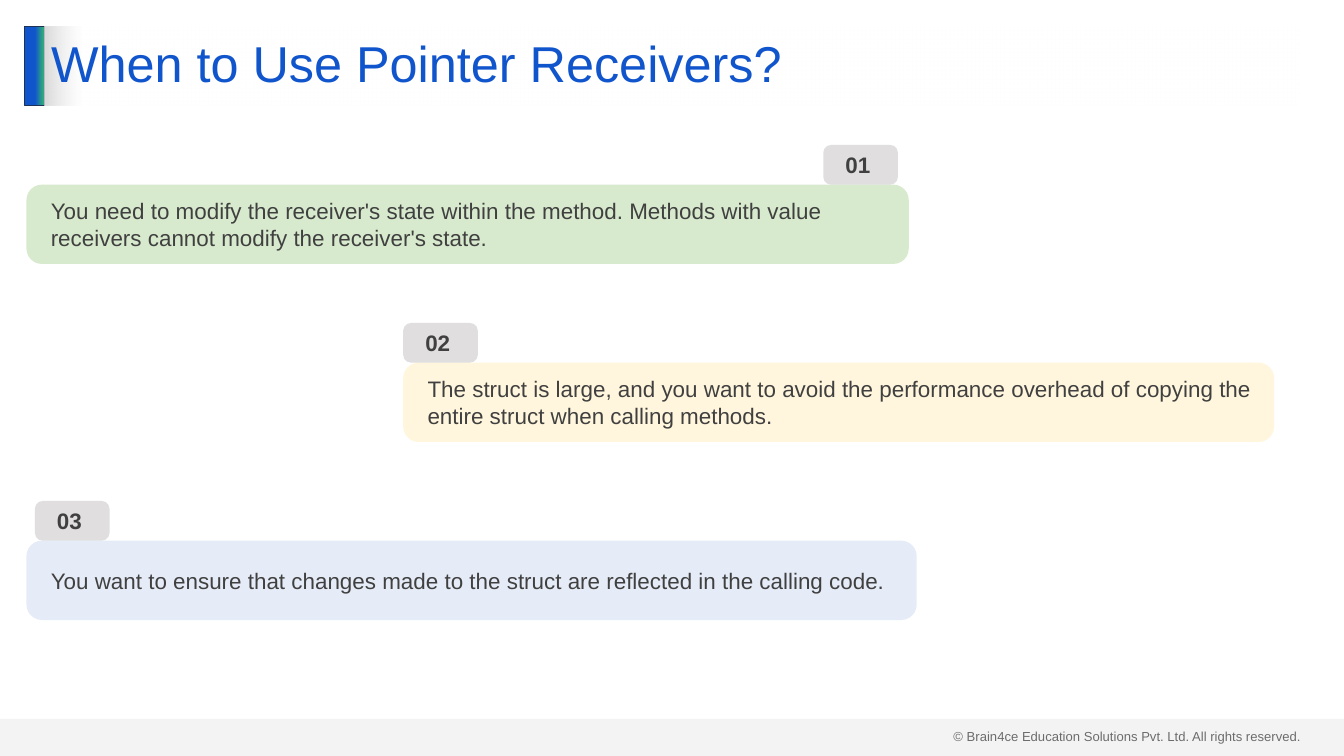
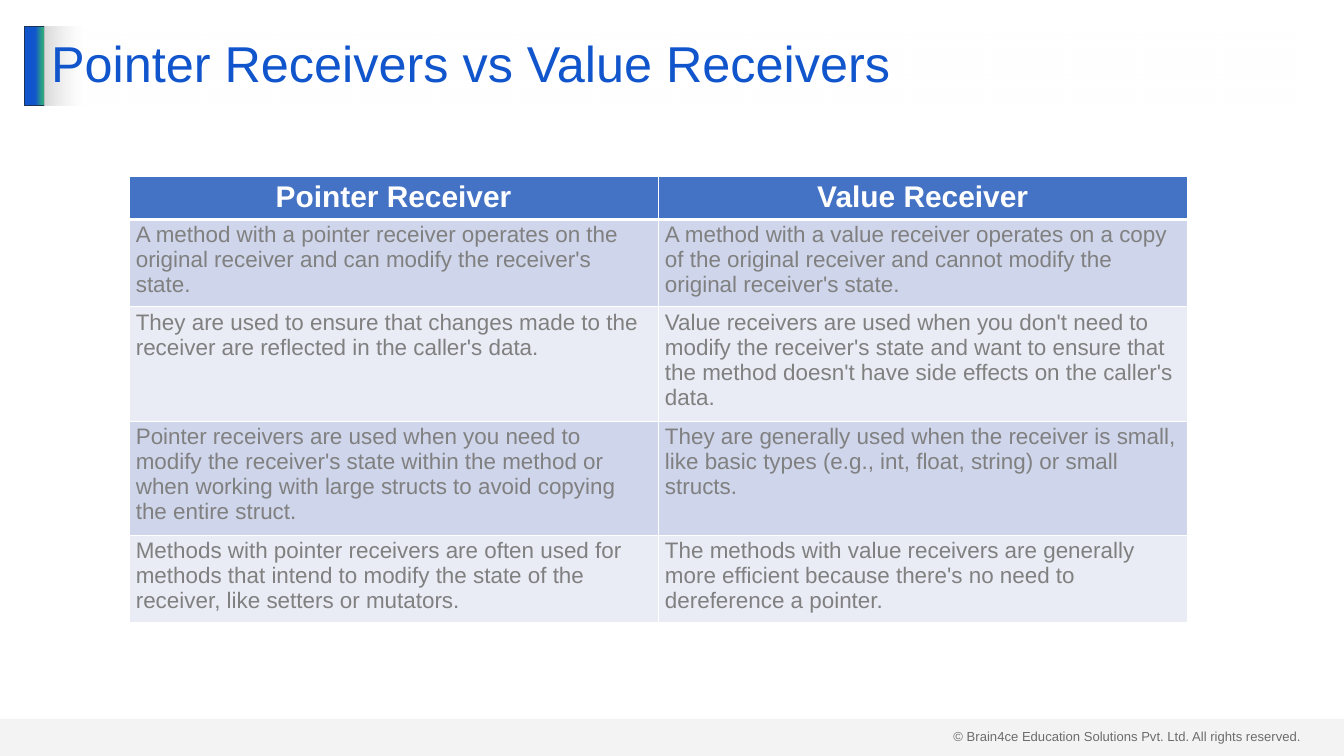
from lxml.etree import SubElement
from pptx import Presentation
from pptx.dml.color import RGBColor
from pptx.enum.shapes import MSO_SHAPE
from pptx.enum.text import MSO_ANCHOR, PP_ALIGN
from pptx.oxml.ns import qn
from pptx.util import Cm, Pt

COLORS = {
    "blue": "1155CC", "teal": "2EA87D", "navy": "1E3256",
    "text": "404040", "muted": "808080", "white": "FFFFFF",
    "band": "D9D9D9", "badge": "D0CECE",
    "green": "C5E0B4", "yellow": "FFF2CC", "pale_blue": "DAE3F3",
    "header": "4472C4", "odd_row": "CFD5EA", "even_row": "E9EBF5",
}
FONT = "Arial"
SLIDE_WIDTH, SLIDE_HEIGHT = 50.8, 28.58
COPYRIGHT = "© Brain4ce Education Solutions Pvt. Ltd. All rights reserved."

CARD_HEIGHT, BADGE_WIDTH, BADGE_HEIGHT = 3, 2.82, 1.5
FIRST_CARD_TOP, CARD_STEP = 6.98, 6.73
CARDS = [
    (1, 33.35, 31.12, "green",
     "You need to modify the receiver's state within the method. "
     "Methods with value receivers cannot modify the receiver's state."),
    (15.24, 32.92, 15.24, "yellow",
     "The struct is large, and you want to avoid the performance overhead "
     "of copying the entire struct when calling methods."),
    (1, 33.65, 1.32, "pale_blue",
     "You want to ensure that changes made to the struct are reflected "
     "in the calling code."),
]
COMPARISON = [
    ("Pointer Receiver", "Value Receiver"),
    ("A method with a pointer receiver operates on the original receiver "
     "and can modify the receiver's state.",
     "A method with a value receiver operates on a copy of the original "
     "receiver and cannot modify the original receiver's state."),
    ("They are used to ensure that changes made to the receiver are "
     "reflected in the caller's data.",
     "Value receivers are used when you don't need to modify the receiver's "
     "state and want to ensure that the method doesn't have side effects on "
     "the caller's data."),
    ("Pointer receivers are used when you need to modify the receiver's "
     "state within the method or when working with large structs to avoid "
     "copying the entire struct.",
     "They are generally used when the receiver is small, like basic types "
     "(e.g., int, float, string) or small structs."),
    ("Methods with pointer receivers are often used for methods that intend "
     "to modify the state of the receiver, like setters or mutators.",
     "The methods with value receivers are generally more efficient because "
     "there's no need to dereference a pointer."),
]


def add_color(parent, color, alpha=100):
    element = SubElement(parent, qn("a:srgbClr"), val=COLORS[color])
    if alpha < 100:
        SubElement(element, qn("a:alpha"), val=str(alpha * 1000))


class Deck:
    def __init__(self):
        self.presentation = Presentation()
        self.presentation.slide_width = Cm(SLIDE_WIDTH)
        self.presentation.slide_height = Cm(SLIDE_HEIGHT)
        self.slide = None

    def add_slide(self, title):
        self.slide = self.presentation.slides.add_slide(
            self.presentation.slide_layouts[6])
        footer = self.slide.shapes.add_textbox(
            Cm(35.79), Cm(27.43), Cm(13.74), Cm(0.86))
        self.set_text(footer.text_frame, COPYRIGHT, 14)
        accent = self.shape(0.94, 1, 0.76, 3)
        self.gradient(accent, [(51, "blue", 100), (90, "teal", 100),
                               (100, "teal", 100)])
        accent.line.color.rgb = RGBColor.from_string(COLORS["navy"])
        accent.line.width = Pt(1)
        band = self.shape(0, 27.18, SLIDE_WIDTH, 1.4)
        self.tint(band, "band", 29)
        heading = self.shape(1.68, 1, 47.42, 3)
        self.gradient(heading, [(0, "band", 100), (3, "white", 50)])
        paragraph = self.set_text(heading.text_frame, title, 54, "blue")
        paragraph.line_spacing = 0.9

    def shape(self, left, top, width, height, kind=MSO_SHAPE.RECTANGLE):
        shape = self.slide.shapes.add_shape(
            kind, Cm(left), Cm(top), Cm(width), Cm(height))
        shape.shadow.inherit = False
        shape.line.fill.background()
        shape.text_frame.vertical_anchor = MSO_ANCHOR.MIDDLE
        return shape

    def tint(self, shape, color, alpha):
        shape.fill.solid()
        fill = shape.element.spPr.find(qn("a:solidFill"))
        fill.clear()
        add_color(fill, color, alpha)

    def gradient(self, shape, stops):
        shape.fill.gradient()
        shape.fill.gradient_angle = 0
        fill = shape.element.spPr.find(qn("a:gradFill"))
        stop_list = fill.find(qn("a:gsLst"))
        stop_list.clear()
        for position, color, alpha in stops:
            stop = SubElement(stop_list, qn("a:gs"), pos=str(position * 1000))
            add_color(stop, color, alpha)

    def set_text(self, frame, text, size, color="text", bold=False,
                 alignment=PP_ALIGN.LEFT):
        frame.word_wrap = True
        paragraph = frame.paragraphs[0]
        paragraph.text = text
        paragraph.alignment = alignment
        font = paragraph.font
        font.name, font.size, font.bold = FONT, Pt(size), bold
        font.color.rgb = RGBColor.from_string(COLORS[color])
        return paragraph

    def rounded_box(self, left, top, width, height, color, text, bold=False):
        box = self.shape(left, top, width, height, MSO_SHAPE.ROUNDED_RECTANGLE)
        box.adjustments[0] = 0.195
        self.tint(box, color, 66)
        paragraph = self.set_text(box.text_frame, text, 24, bold=bold)
        paragraph._p.get_or_add_pPr().set("marL", str(Cm(0.5)))

    def border(self, cell, side, width):
        line = SubElement(cell._tc.get_or_add_tcPr(), qn(f"a:{side}"),
                          w=str(Pt(width)))
        add_color(SubElement(line, qn("a:solidFill")), "white")

    def table(self, left, top, width, height, rows):
        frame = self.slide.shapes.add_table(
            len(rows), len(rows[0]), Cm(left), Cm(top), Cm(width), Cm(height))
        for row_index, texts in enumerate(rows):
            is_header = row_index == 0
            frame.table.rows[row_index].height = Cm(1.04)
            fill = ("header" if is_header
                    else "odd_row" if row_index % 2 else "even_row")
            for column_index, text in enumerate(texts):
                cell = frame.table.cell(row_index, column_index)
                for side in ("lnL", "lnR", "lnT", "lnB"):
                    is_thick = (is_header and side == "lnB"
                                or row_index == 1 and side == "lnT")
                    self.border(cell, side, 3 if is_thick else 1)
                cell.fill.solid()
                cell.fill.fore_color.rgb = RGBColor.from_string(COLORS[fill])
                if is_header:
                    self.set_text(cell.text_frame, text, 32, "white", True,
                                  PP_ALIGN.CENTER)
                else:
                    self.set_text(cell.text_frame, text, 24, "muted")
        frame.height = Cm(height)


def main():
    deck = Deck()
    deck.add_slide("When to Use Pointer Receivers?")
    for index, (left, width, badge_left, color, text) in enumerate(CARDS):
        top = FIRST_CARD_TOP + index * CARD_STEP
        deck.rounded_box(left, top, width, CARD_HEIGHT, color, text)
        deck.rounded_box(badge_left, top - BADGE_HEIGHT, BADGE_WIDTH,
                         BADGE_HEIGHT, "badge", f"{index + 1:02}", bold=True)

    deck.add_slide("Pointer Receivers vs Value Receivers")
    deck.table(4.88, 6.68, 40, 16.84, COMPARISON)
    deck.presentation.save("out.pptx")


if __name__ == "__main__":
    main()
